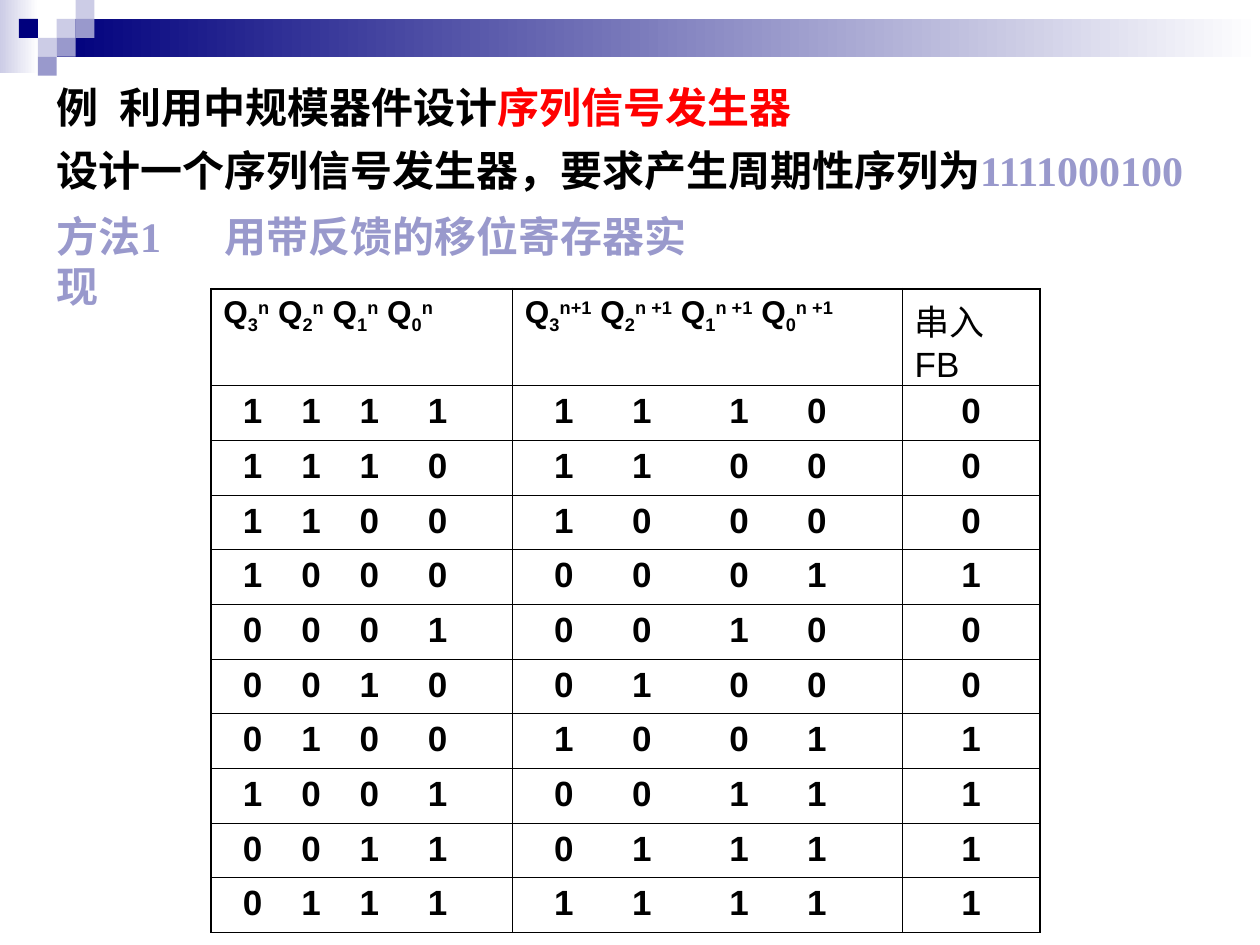
from lxml import etree
from pptx import Presentation
from pptx import util as u
from pptx.dml.color import RGBColor
from pptx.enum import shapes, text
from pptx.oxml.ns import qn

COLORS = {"navy": "00007D", "violet": "9999CC", "pale": "CCCCE6",
          "white": "FFFFFF", "black": "000000", "red": "FF0000"}
HEADING = {"name": "Times New Roman", "size": u.Pt(24), "bold": True}
CELL = {"name": "Arial", "size": u.Pt(20), "bold": True}
LABEL = {**CELL, "size": u.Pt(18)}
PLAIN = {**CELL, "bold": False}
THIN, THICK = 0.45, 1.08
SUB, SUP = -25000, 30000


def rgb(name):
    return RGBColor.from_string(COLORS[name])


class Deck:
    def __init__(self, width, height):
        self.prs = Presentation()
        self.prs.slide_width, self.prs.slide_height = u.Pt(width), u.Pt(height)
        self.s = self.prs.slides.add_slide(self.prs.slide_layouts[6])

    def rect(self, x, y, w, h, *colors):
        """One colour gives a solid fill, two a left-to-right gradient."""
        sp = self.s.shapes.add_shape(shapes.MSO_SHAPE.RECTANGLE,
                                     u.Pt(x), u.Pt(y), u.Pt(w), u.Pt(h))
        sp.shadow.inherit = False
        sp.line.fill.background()
        if len(colors) == 1:
            sp.fill.solid()
            sp.fill.fore_color.rgb = rgb(colors[0])
            return
        sp.fill.gradient()
        sp.fill.gradient_angle = 0
        for stop, color in zip(sp.fill.gradient_stops, colors):
            stop.color.rgb = rgb(color)

    def add_runs(self, p, runs, style, tabs=()):
        """Each run is (text, colour, baseline shift in 1/1000 %)."""
        if tabs:
            tab_list = etree.SubElement(p._p.get_or_add_pPr(), qn("a:tabLst"))
            for pos in tabs:
                etree.SubElement(tab_list, qn("a:tab"),
                                 pos=str(u.Pt(pos)), algn="l")
        for content, color, shift in runs:
            r = p.add_run()
            r.text = content
            for key, value in style.items():
                setattr(r.font, key, value)
            r.font.color.rgb = rgb(color)
            if shift:
                r._r.get_or_add_rPr().set("baseline", str(shift))

    def heading(self, x, y, w, h, runs, tabs=()):
        tf = self.s.shapes.add_textbox(u.Pt(x), u.Pt(y), u.Pt(w), u.Pt(h)).text_frame
        tf.word_wrap = True
        tf.auto_size = text.MSO_AUTO_SIZE.SHAPE_TO_FIT_TEXT
        self.add_runs(tf.paragraphs[0], [(t, c, 0) for t, c in runs], HEADING, tabs)

    def table(self, x, y, widths, heights):
        frame = self.s.shapes.add_table(len(heights), len(widths), u.Pt(x), u.Pt(y),
                                        u.Pt(sum(widths)), u.Pt(sum(heights)))
        table = frame.table
        table.first_row = table.horz_banding = False
        for col, width in zip(table.columns, widths):
            col.width = u.Pt(width)
        for row, height in zip(table.rows, heights):
            row.height = u.Pt(height)
        last_row, last_col = len(heights) - 1, len(widths) - 1
        for i in range(len(heights)):
            for j in range(len(widths)):
                cell = table.cell(i, j)
                cell.fill.background()
                self.borders(cell, {"L": j == 0, "R": j == last_col,
                                    "T": i == 0, "B": i == last_row})
        return table

    def borders(self, cell, outer):
        tc_pr = cell._tc.get_or_add_tcPr()
        for n, (side, is_outer) in enumerate(outer.items()):
            ln = etree.Element(qn(f"a:ln{side}"),
                               w=str(u.Pt(THICK if is_outer else THIN)))
            fill = etree.SubElement(ln, qn("a:solidFill"))
            etree.SubElement(fill, qn("a:srgbClr"), val=COLORS["black"])
            tc_pr.insert(n, ln)

    def cell(self, cell, runs, style, tabs=(), align=None):
        p = cell.text_frame.paragraphs[0]
        self.add_runs(p, [(t, "black", shift) for t, shift in runs], style, tabs)
        if align is not None:
            p.alignment = align


def state_label(time, gap_time):
    """Q3..Q0 with subscript index and superscript time."""
    runs = []
    for i in (3, 2, 1, 0):
        runs += [("Q" if i == 3 else " Q", 0), (str(i), SUB),
                 (time if i == 3 else gap_time, SUP)]
    return runs


def spread(bits):
    return [("".join("\t" + bit for bit in bits), 0)]


def main():
    deck = Deck(720, 540)
    deck.rect(0, 0, 22, 42, "pale", "white")
    deck.rect(32.4, 10.8, 687.6, 21.6, "navy", "white")
    unit = 10.8
    for col, row, color in ((1, 1, "pale"), (2, 0, "pale"), (2, 1, "violet"),
                            (0, 2, "pale"), (1, 2, "violet"), (0, 3, "violet"),
                            (-1, 1, "navy")):
        deck.rect(21.6 + col * unit, row * unit, unit, unit, color)

    sequence = "1111000100"
    deck.heading(25, 43.2, 516, 36, [("例\t利用中规模器件设计", "black"),
                                     ("序列信号发生器", "red")], [36])
    deck.heading(25, 79.2, 684, 36,
                 [("设计一个序列信号发生器，要求产生周期性序列为", "black"),
                  (sequence, "violet")])

    count = len(sequence)
    table = deck.table(120.5, 165, [172.3, 222.7, 79], [55.4] + [31.2] * count)
    deck.cell(table.cell(0, 0), state_label("n", "n"), LABEL)
    deck.cell(table.cell(0, 1), state_label("n+1", "n +1"), LABEL)
    deck.cell(table.cell(0, 2), [("串入FB", 0)], PLAIN)

    ring = sequence * 2
    for k in range(count):
        state, following = ring[k:k + 4], ring[k + 1:k + 5]
        row = k + 1
        deck.cell(table.cell(row, 0), spread(state), CELL, (11.1, 44.5, 77.8, 116.8))
        deck.cell(table.cell(row, 1), spread(following), CELL,
                  (16.7, 61.2, 116.8, 161.2))
        deck.cell(table.cell(row, 2), [(following[-1], 0)], CELL,
                  align=text.PP_ALIGN.CENTER)

    deck.heading(25, 116.6, 392.4, 65,
                 [("方法1\t用带反馈的移位寄存器实现", "violet")], [96])
    deck.prs.save("out.pptx")


if __name__ == "__main__":
    main()
